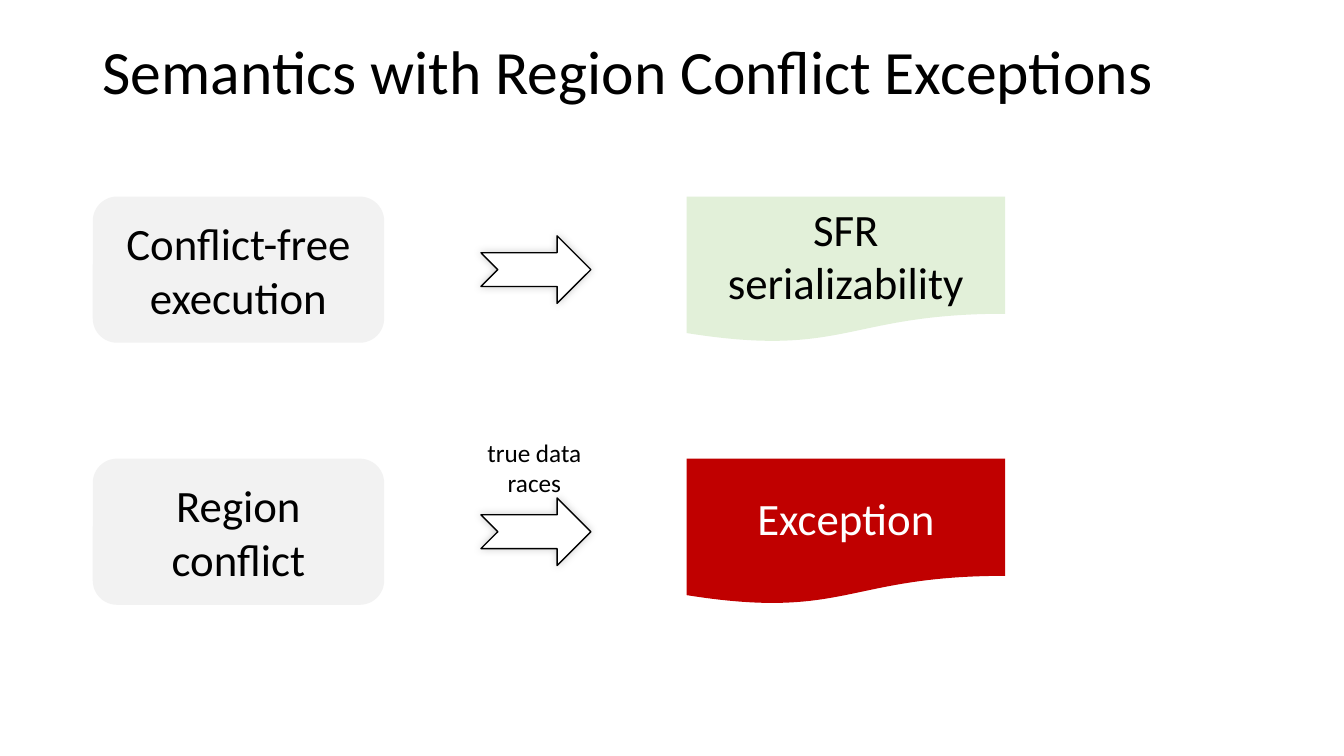
from dataclasses import dataclass

from lxml import etree
from pptx import Presentation
from pptx.dml.color import RGBColor
from pptx.enum.shapes import MSO_SHAPE
from pptx.enum.text import MSO_ANCHOR, PP_ALIGN
from pptx.oxml.ns import qn
from pptx.util import Inches, Pt

ROUNDED = MSO_SHAPE.ROUNDED_RECTANGLE
ARROW = MSO_SHAPE.NOTCHED_RIGHT_ARROW
DOCUMENT = MSO_SHAPE.FLOWCHART_DOCUMENT
MIDDLE, TOP = MSO_ANCHOR.MIDDLE, MSO_ANCHOR.TOP
LEFT, CENTER = PP_ALIGN.LEFT, PP_ALIGN.CENTER

COLORS = {
    "text": "000000",
    "inverse": "FFFFFF",
    "arrow": "FFFFFF",
    "cause": "F2F2F2",
    "safe": "E2F0D9",
    "error": "C00000",
}
FONT = "Calibri"


@dataclass(frozen=True)
class Column:
    left: float
    width: float


# Grid in inches: three columns, rows at an equal pitch
CAUSE_COL = Column(0.92, 2.89)
ARROW_COL = Column(4.77, 1.09)
OUTCOME_COL = Column(6.81, 3.16)
NOTE_COL = Column(4.73, 1.14)
TITLE_COL = Column(0.92, 11.5)
FIRST_ROW, ROW_PITCH, ROW_HEIGHT = 1.95, 2.6, 1.45
ARROW_HEIGHT = 0.67


@dataclass(frozen=True)
class Rule:
    cause: str
    outcome: str
    fill: str
    ink: str


RULES = [
    Rule("Conflict-free execution", "SFR serializability", "safe", "text"),
    Rule("Region conflict", "Exception", "error", "inverse"),
]


def rgb(name: str) -> RGBColor:
    return RGBColor.from_string(COLORS[name])


def box(column: Column, top: float, height: float) -> list:
    return [Inches(v) for v in (column.left, top, column.width, height)]


def write(frame, lines: list[str], size: int, ink: str = "text", align=CENTER,
          anchor=MIDDLE, spacing: float = 1.0, wrap: bool = True) -> None:
    for name, value in {"word_wrap": wrap, "vertical_anchor": anchor}.items():
        setattr(frame, name, value)
    for index, line in enumerate(lines):
        paragraph = frame.add_paragraph() if index else frame.paragraphs[0]
        for name, value in {"alignment": align, "line_spacing": spacing}.items():
            setattr(paragraph, name, value)
        run = paragraph.add_run()
        run.text = line
        for name, value in {"name": FONT, "size": Pt(size)}.items():
            setattr(run.font, name, value)
        run.font.color.rgb = rgb(ink)


def add_block(slide, preset, column: Column, top: float, height: float, fill: str):
    block = slide.shapes.add_shape(preset, *box(column, top, height))
    block.shadow.inherit = False
    block.fill.solid()
    block.fill.fore_color.rgb = rgb(fill)
    block.line.fill.background()
    return block


def add_arrow(slide, row_top: float) -> None:
    top = row_top + (ROW_HEIGHT - ARROW_HEIGHT) / 2
    arrow = add_block(slide, ARROW, ARROW_COL, top, ARROW_HEIGHT, "arrow")
    arrow.line.color.rgb = rgb("text")
    arrow.line.width = Pt(1)
    # Soft shadow around the outline
    effects = arrow.element.spPr.find(qn("a:effectLst"))
    shadow = etree.SubElement(effects, qn("a:outerShdw"), blurRad=str(Pt(6)),
                              dist="0", dir="13500000", rotWithShape="0")
    tint = etree.SubElement(shadow, qn("a:srgbClr"), val=COLORS["text"])
    etree.SubElement(tint, qn("a:alpha"), val="20000")


def add_rule(slide, rule: Rule, top: float) -> None:
    cause = add_block(slide, ROUNDED, CAUSE_COL, top, ROW_HEIGHT, "cause")
    write(cause.text_frame, [rule.cause], 32)
    add_arrow(slide, top)
    outcome = add_block(slide, DOCUMENT, OUTCOME_COL, top, ROW_HEIGHT, rule.fill)
    write(outcome.text_frame, [rule.outcome], 32, rule.ink)


def main() -> None:
    deck = Presentation()
    deck.slide_width, deck.slide_height = Inches(13.33), Inches(7.5)
    slide = deck.slides.add_slide(deck.slide_layouts[6])

    # Title
    title = slide.shapes.add_textbox(*box(TITLE_COL, 0.01, 1.45))
    write(title.text_frame, ["Semantics with Region Conflict Exceptions"], 44,
          align=LEFT, spacing=0.9)

    # Cause, arrow and outcome in each row
    for index, rule in enumerate(RULES):
        add_rule(slide, rule, FIRST_ROW + index * ROW_PITCH)

    # Note above the second arrow
    note = slide.shapes.add_textbox(*box(NOTE_COL, 4.29, 0.71))
    write(note.text_frame, ["true data", "races"], 18, anchor=TOP, wrap=False)

    deck.save("out.pptx")


if __name__ == "__main__":
    main()
